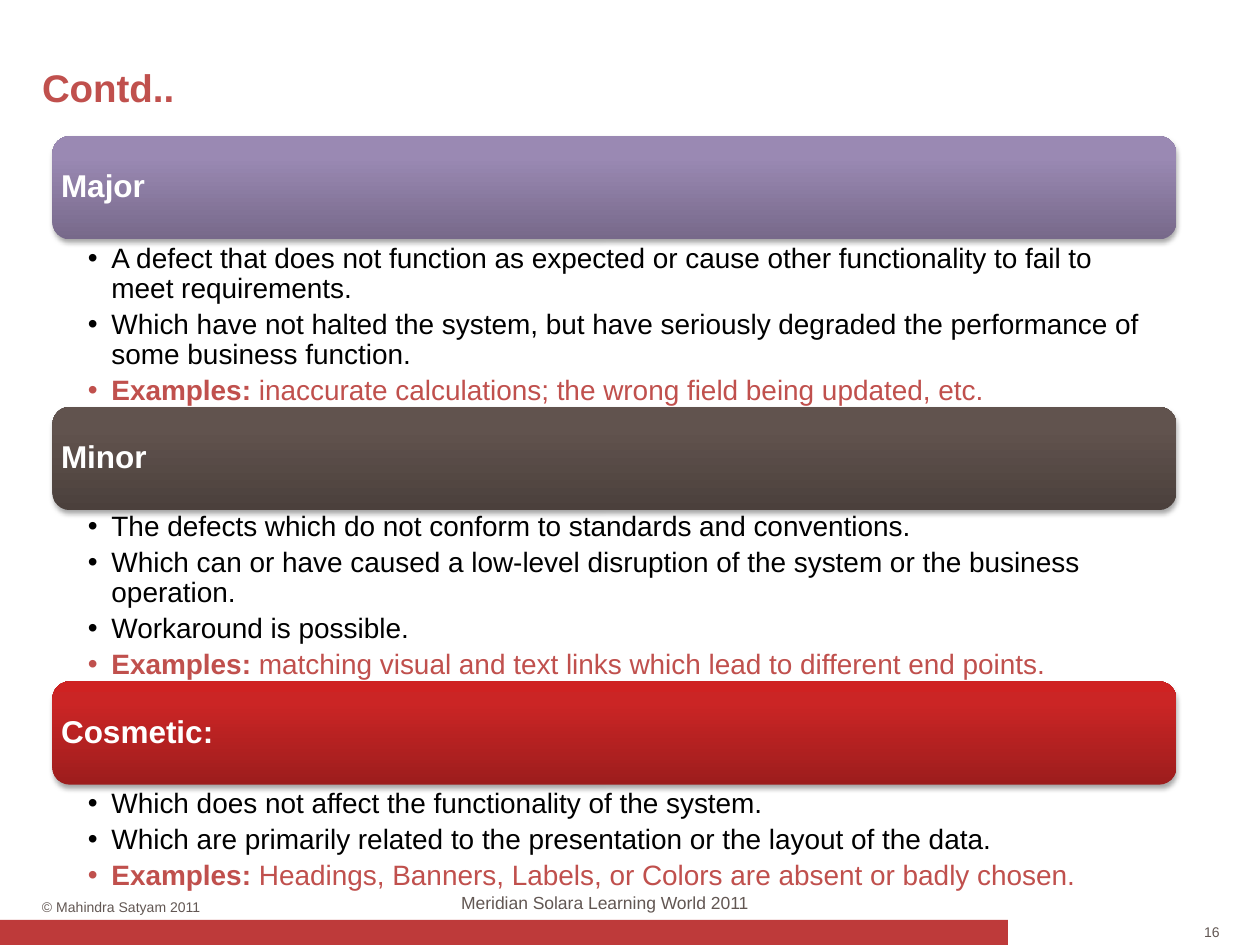
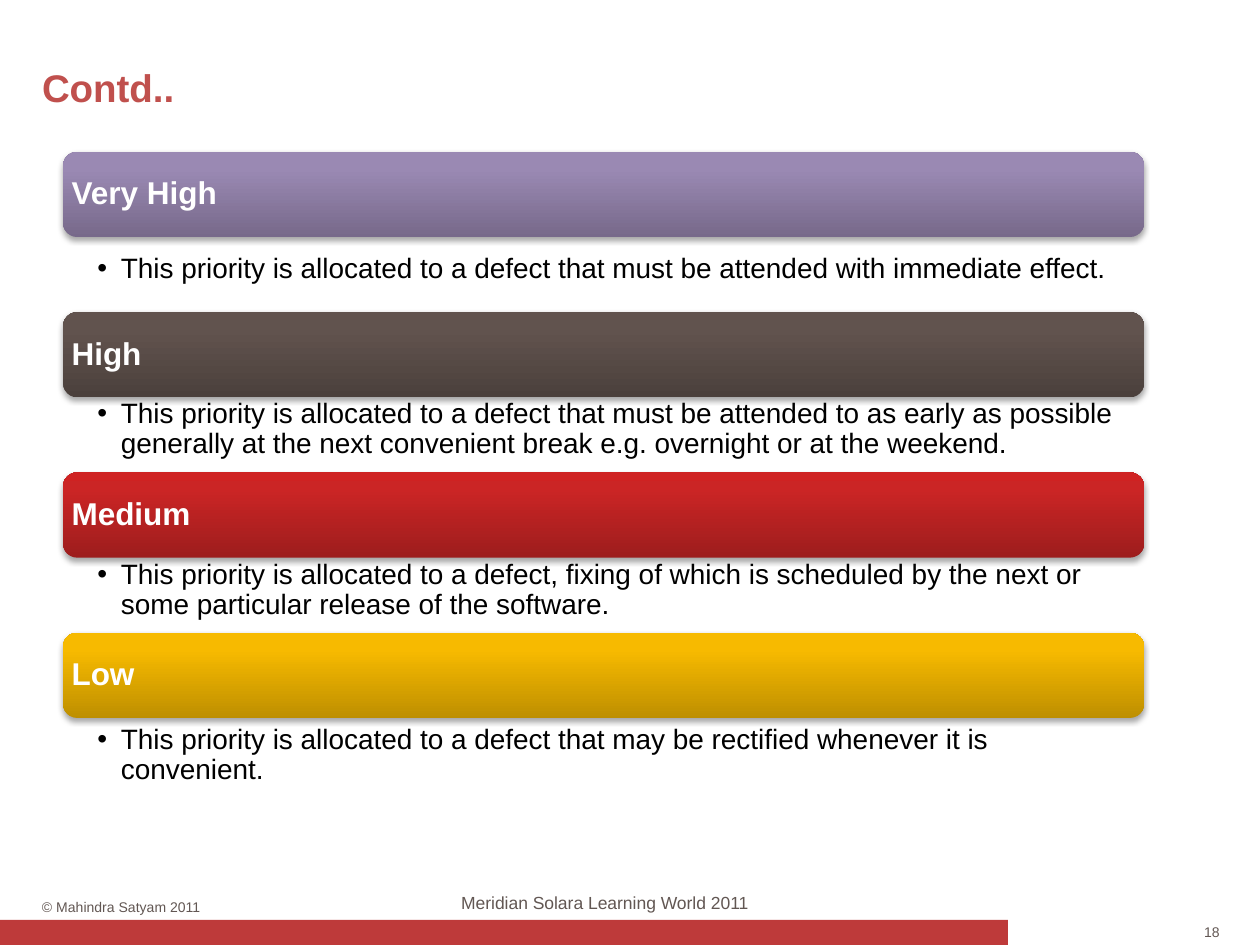
import pptx
import pptx.util
import pptx.oxml
import pptx.oxml.ns
import pptx.dml.color
import pptx.enum.shapes
import pptx.enum.text
from dataclasses import dataclass

Pt = pptx.util.Pt
Align = pptx.enum.text.PP_ALIGN
Anchor = pptx.enum.text.MSO_ANCHOR
Shape = pptx.enum.shapes.MSO_SHAPE


@dataclass(frozen=True)
class Theme:
    font: str = "Arial"
    title: int = 22
    head: int = 18
    body: int = 16
    foot: int = 10
    small: int = 8
    ink: str = "000000"
    white: str = "FFFFFF"
    accent: str = "C0504D"
    band: str = "BE3A3A"
    grey: str = "625753"
    # gradient stops of each bar, bottom to top
    bars: tuple = (("77698A", "9A89B3", "9B88B5"),
                   ("4B403C", "61534E", "62534E"),
                   ("9D1D1D", "CB2525", "CF2222"),
                   ("BE8F00", "F7BA00", "F8BB00"))
    stops: tuple = (0, 80, 100)


def rgb(code):
    return pptx.dml.color.RGBColor.from_string(code)


def apply(item, values):
    for name, value in values.items():
        setattr(item, name, value)


class Deck:
    def __init__(self, theme):
        self.theme = theme
        self.prs = pptx.Presentation()
        apply(self.prs, {"slide_width": Pt(720), "slide_height": Pt(540)})
        self.slide = None

    def place(self, item, left, top, width, height):
        apply(item, {"left": Pt(left), "top": Pt(top),
                     "width": Pt(width), "height": Pt(height)})

    def frame(self, item, pads=(0, 0, 0, 0), anchor=Anchor.TOP):
        """Set the insets (left, top, right, bottom) and anchor of a text frame."""
        left, top, right, bottom = map(Pt, pads)
        apply(item.text_frame, {
            "word_wrap": True, "vertical_anchor": anchor,
            "auto_size": pptx.enum.text.MSO_AUTO_SIZE.NONE,
            "margin_left": left, "margin_top": top,
            "margin_right": right, "margin_bottom": bottom})
        return item.text_frame

    def say(self, par, text, size, color, bold=False, align=Align.LEFT):
        """Add a formatted run to a paragraph."""
        par.alignment = align
        run = par.add_run()
        run.text = text
        apply(run.font, {"name": self.theme.font, "size": Pt(size), "bold": bold})
        run.font.color.rgb = rgb(color)

    def label(self, text, spot, size, align=Align.LEFT, anchor=Anchor.TOP):
        box = self.slide.shapes.add_textbox(*map(Pt, spot))
        frame = self.frame(box, anchor=anchor)
        self.say(frame.paragraphs[0], text, size, self.theme.grey, align=align)

    def start(self, title, number):
        """Add a slide with its title, band and footers."""
        look = self.theme
        self.slide = self.prs.slides.add_slide(self.prs.slide_layouts[4])
        band = self.slide.shapes.add_shape(
            Shape.RECTANGLE, *map(Pt, (0, 525.6, 576, 14.4)))
        band.fill.solid()
        band.fill.fore_color.rgb = rgb(look.band)
        band.line.fill.background()
        band.shadow.inherit = False
        self.label(str(number), (686.9, 527.8, 10.1, 9.4), look.small,
                   Align.RIGHT, Anchor.MIDDLE)
        self.label("© Mahindra Satyam 2011", (24, 513.4, 111, 9.4), look.small)
        self.label("Meridian Solara Learning World 2011", (190, 509.8, 311, 12.2),
                   look.foot, Align.CENTER)
        head = self.slide.shapes.title
        self.place(head, 24, 36.7, 672.5, 26.7)
        self.say(self.frame(head).paragraphs[0], title, look.title,
                 look.accent, True)

    def bar(self, text, spot, colors):
        shape = self.slide.shapes.add_shape(Shape.ROUNDED_RECTANGLE, *map(Pt, spot))
        stops = "".join(
            f'<a:gs pos="{pos * 1000}"><a:srgbClr val="{color}"/></a:gs>'
            for pos, color in zip(self.theme.stops, colors))
        space = pptx.oxml.ns.nsdecls("a")
        for xml in (
                f'<a:gradFill {space}><a:gsLst>{stops}</a:gsLst>'
                '<a:lin ang="16200000" scaled="0"/></a:gradFill>',
                f'<a:ln {space}><a:noFill/></a:ln>',
                f'<a:effectLst {space}><a:outerShdw blurRad="{Pt(3.1)}" '
                f'dist="{Pt(1.8)}" dir="5400000" rotWithShape="0">'
                '<a:srgbClr val="000000"><a:alpha val="35000"/></a:srgbClr>'
                '</a:outerShdw></a:effectLst>'):
            shape.element.spPr.append(pptx.oxml.parse_xml(xml))
        # the rounded corners already push the text in by 5% of the height
        pad = 5 - 0.05 * spot[3]
        frame = self.frame(shape, (pad, pad, pad, pad), Anchor.MIDDLE)
        par = frame.paragraphs[0]
        par.line_spacing = 0.9
        self.say(par, text, self.theme.head, self.theme.white, True)

    def points(self, holder, lines, spot, inset):
        """Fill a body placeholder with bullets, in front of the bars."""
        look = self.theme
        self.place(holder, *spot)
        holder.element.getparent().append(holder.element)
        frame = self.frame(holder, (inset, 1.4, 8.9, 1.4))
        for index, line in enumerate(lines):
            par = frame.add_paragraph() if index else frame.paragraphs[0]
            props = par._p.get_or_add_pPr()
            props.set("marL", str(Pt(13.5)))
            props.set("indent", str(Pt(-13.5)))
            space = pptx.oxml.ns.nsdecls("a")
            for xml in (f'<a:buFont {space} typeface="{look.font}"/>',
                        f'<a:buChar {space} char="•"/>'):
                props.append(pptx.oxml.parse_xml(xml))
            apply(par, {"line_spacing": 0.9, "space_before": Pt(0),
                        "space_after": Pt(3.2)})
            key = "Examples:"
            if line.startswith(key):
                self.say(par, key, look.body, look.accent, True)
                self.say(par, line[len(key):], look.body, look.accent)
            else:
                self.say(par, line, look.body, look.ink)

    def levels(self, left, width, high, inset, rows):
        """Stack bars and lists; a row is (head, bar top, list top, list height, lines)."""
        bodies = [item for item in self.slide.placeholders
                  if item.placeholder_format.idx in (1, 2, 3, 4)]
        for row, colors in zip(rows, self.theme.bars):
            head, top, below, depth, lines = row
            self.bar(head, (left, top, width, high), colors)
            self.points(bodies.pop(0), lines, (left, below, width, depth), inset)
        for spare in bodies:
            spare.element.getparent().remove(spare.element)


SEVERITY = [
    ("Major", 77.8, 138.1, 94.3, [
        "A defect that does not function as expected or cause other functionality "
        "to fail to meet requirements.",
        "Which have not halted the system, but have seriously degraded the "
        "performance of some business function.",
        "Examples: inaccurate calculations; the wrong field being updated, etc."]),
    ("Minor", 232.5, 291.6, 97.9, [
        "The defects which do not conform to standards and conventions.",
        "Which can or have caused a low-level disruption of the system or the "
        "business operation.",
        "Workaround is possible.",
        "Examples: matching visual and text links which lead to different end "
        "points."]),
    ("Cosmetic:", 389.4, 449.8, 60.5, [
        "Which does not affect the functionality of the system.",
        "Which are primarily related to the presentation or the layout of the data.",
        "Examples: Headings, Banners, Labels, or Colors are absent or badly "
        "chosen."]),
]

LEAD = "This priority is allocated to a defect"
PRIORITY = [
    ("Very High", 144, " that must be attended with immediate effect."),
    ("High", 226.9, " that must be attended to as early as possible generally at "
     "the next convenient break e.g. overnight or at the weekend."),
    ("Medium", 318.7, ", fixing of which is scheduled by the next or some "
     "particular release of the software."),
    ("Low", 413.2, " that may be rectified whenever it is convenient."),
]


def main():
    deck = Deck(Theme())
    deck.start("Contd..", 16)
    deck.levels(30, 642.2, 59, 20.2, SEVERITY)
    deck.start("Contd..", 18)
    rows = [(head, 86.8 + 91.6 * index, below, 43.2, [LEAD + rest])
            for index, (head, below, rest) in enumerate(PRIORITY)]
    deck.levels(36, 617.8, 48.7, 19.6, rows)
    deck.prs.save("out.pptx")


if __name__ == "__main__":
    main()
